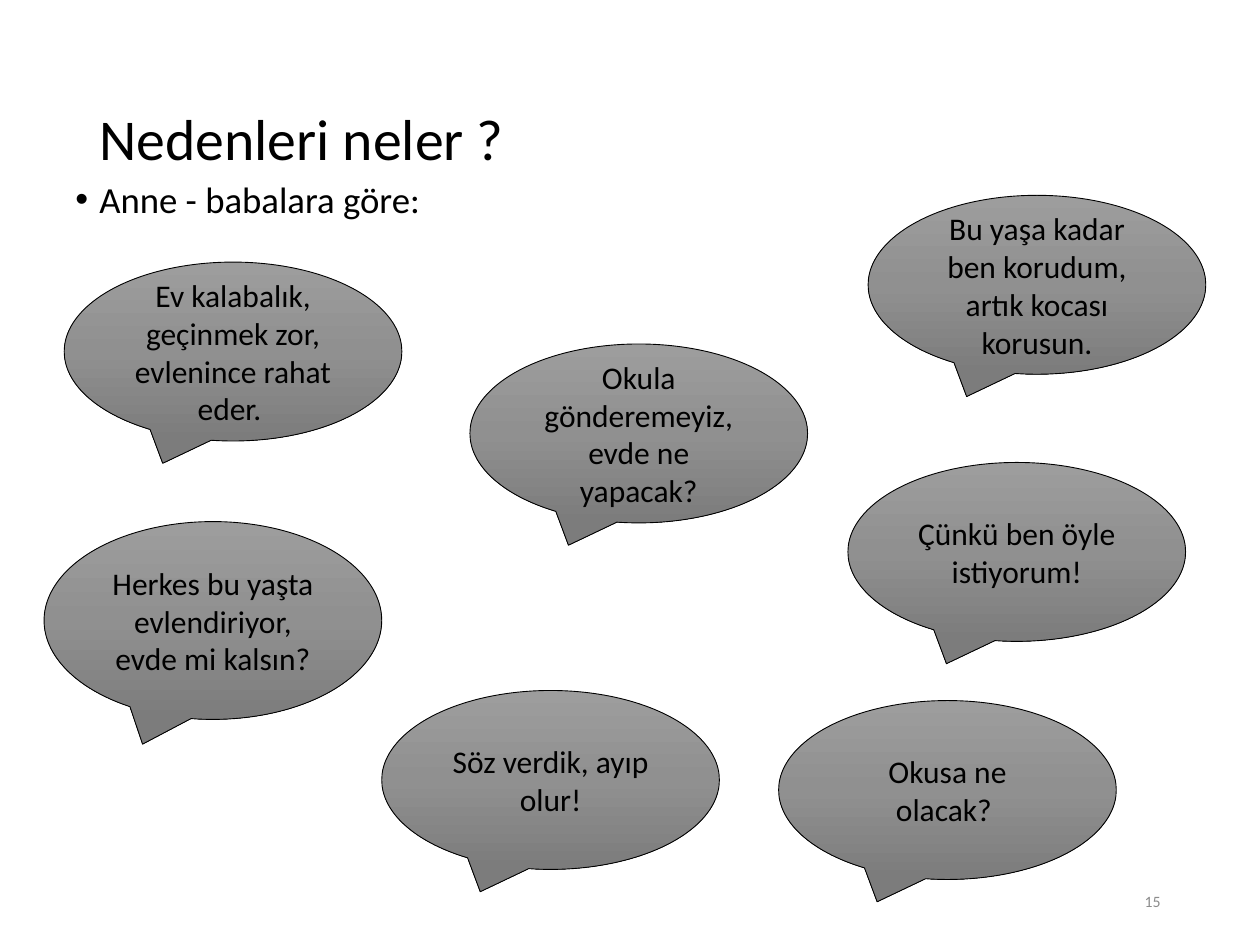
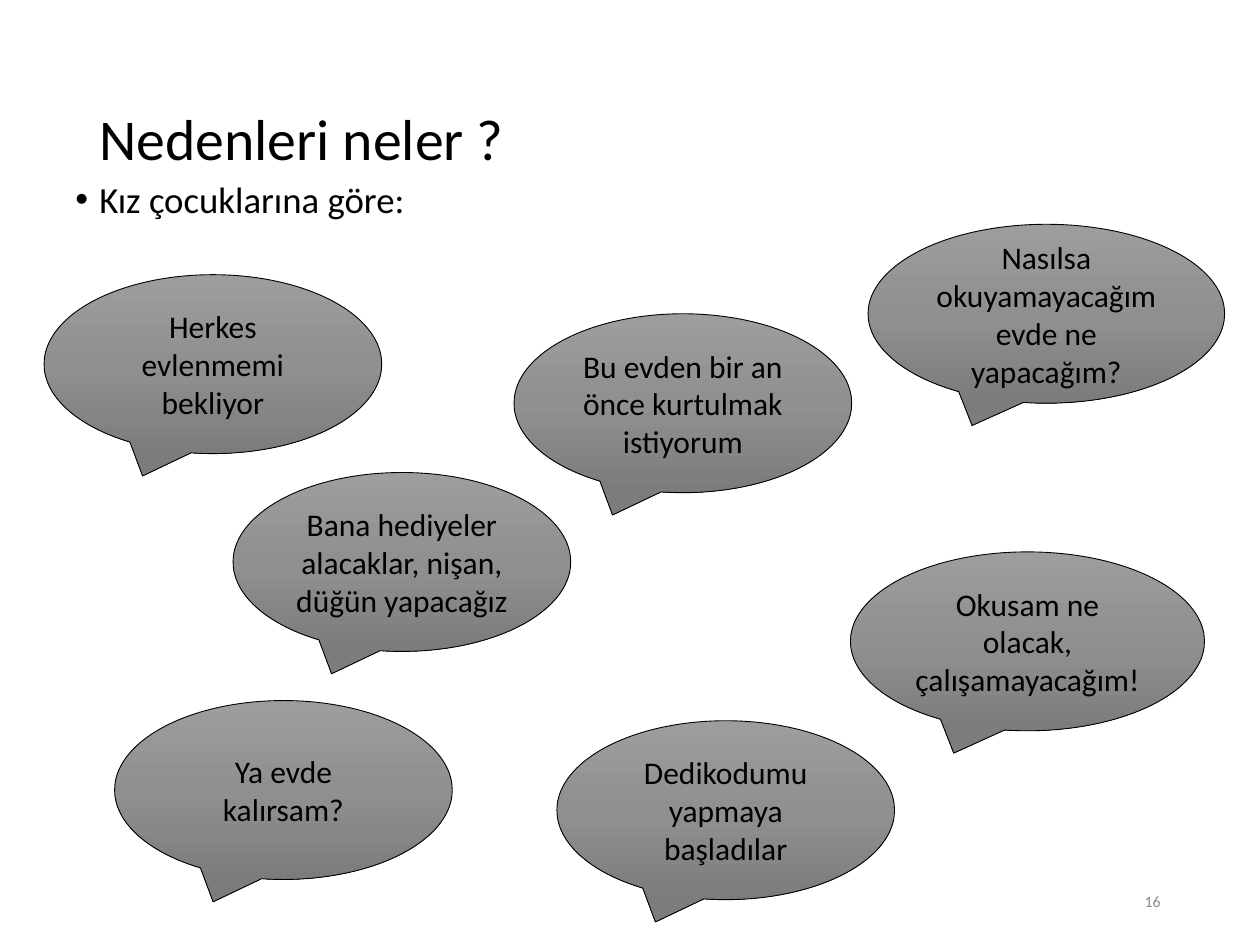
from copy import deepcopy
from dataclasses import dataclass

from lxml import etree
from pptx import Presentation
from pptx.dml.color import RGBColor
from pptx.enum.shapes import MSO_SHAPE
from pptx.enum.text import MSO_ANCHOR, PP_ALIGN
from pptx.oxml.ns import qn
from pptx.util import Inches, Pt

CALLOUT = MSO_SHAPE.OVAL_CALLOUT
TOP, MIDDLE = MSO_ANCHOR.TOP, MSO_ANCHOR.MIDDLE
LEFT, CENTER, RIGHT = PP_ALIGN.LEFT, PP_ALIGN.CENTER, PP_ALIGN.RIGHT

# Content: each opinion is (text, left, top) with optional (width, height)
TITLE = "Nedenleri neler ?"
BUBBLE_SIZE = (2.68, 1.42)
SLIDES = [
    {
        "number": "15",
        "speakers": "Anne - babalara göre:",
        "opinions": [
            ("Ev kalabalık, geçinmek zor, evlenince rahat eder. ", 0.51, 2.08),
            ("Okula gönderemeyiz, evde ne yapacak?", 3.73, 2.73),
            ("Bu yaşa kadar ben korudum, artık kocası korusun.", 6.89, 1.55),
            ("Herkes bu yaşta evlendiriyor, evde mi kalsın?", 0.35, 4.14, 2.68, 1.57),
            ("Çünkü ben öyle istiyorum!", 6.73, 3.67),
            ("Söz verdik, ayıp olur!", 3.03, 5.48),
            ("Okusa ne olacak? ", 6.18, 5.56),
        ],
    },
    {
        "number": "16",
        "speakers": "Kız çocuklarına göre:",
        "opinions": [
            ("Herkes evlenmemi bekliyor", 0.35, 2.18),
            ("Bu evden bir an önce kurtulmak istiyorum", 4.08, 2.49),
            ("Nasılsa okuyamayacağım evde ne yapacağım?", 6.89, 1.78, 2.83, 1.42),
            ("Ya evde kalırsam?", 0.91, 5.56),
            ("Okusam ne olacak, çalışamayacağım!", 6.75, 4.38, 2.81, 1.42),
            ("Bana hediyeler alacaklar, nişan, düğün yapacağız", 1.85, 3.75),
            ("Dedikodumu yapmaya başladılar", 4.42, 5.72),
        ],
    },
]


@dataclass(frozen=True)
class Theme:
    font: str = "Calibri"
    ink: str = "000000"
    muted: str = "8C8C8C"
    gradient: tuple = ((0, "9D9D9D"), (0.5, "909090"), (1, "7C7C7C"))
    title: int = 33
    body: int = 21
    bubble: int = 18
    number: int = 9
    outline: float = 0.5
    spacing: float = 0.9


THEME = Theme()


def write(shape, text, size, align=LEFT, anchor=MIDDLE, color=THEME.ink):
    """Fill a shape with one styled paragraph and return the paragraph."""
    frame = shape.text_frame
    frame.word_wrap = True
    frame.vertical_anchor = anchor
    para = frame.paragraphs[0]
    para.alignment = align
    span = para.add_run()
    span.text = text
    span.font.name = THEME.font
    span.font.size = Pt(size)
    span.font.color.rgb = RGBColor.from_string(color)
    return para


def add_text(page, area, text, size, **style):
    box = page.shapes.add_textbox(*map(Inches, area))
    return write(box, text, size, **style)


def add_bullet(para, indent):
    properties = para._p.get_or_add_pPr()
    properties.set("marL", str(Inches(indent)))
    properties.set("indent", str(-Inches(indent)))
    etree.SubElement(properties, qn("a:buFont"), typeface="Arial")
    etree.SubElement(properties, qn("a:buChar"), char="•")


def fill_gradient(shape):
    shape.fill.gradient()
    shape.fill.gradient_angle = 270
    stop_list = next(shape.element.spPr.iter(qn("a:gsLst")))
    stop_list.append(deepcopy(stop_list[0]))
    for stop, (position, color) in zip(shape.fill.gradient_stops, THEME.gradient):
        stop.position = position
        stop.color.rgb = RGBColor.from_string(color)


def add_bubble(page, text, left, top, width=BUBBLE_SIZE[0], height=BUBBLE_SIZE[1]):
    area = map(Inches, (left, top, width, height))
    bubble = page.shapes.add_shape(CALLOUT, *area)
    bubble.shadow.inherit = False
    fill_gradient(bubble)
    bubble.line.color.rgb = RGBColor.from_string(THEME.ink)
    bubble.line.width = Pt(THEME.outline)
    write(bubble, text, THEME.bubble, align=CENTER)


def add_page(deck, content):
    page = deck.slides.add_slide(deck.slide_layouts[6])

    # Title and the group being quoted
    title = add_text(page, (0.69, 0.4, 8.62, 1.45), TITLE, THEME.title)
    title.line_spacing = THEME.spacing
    speakers = add_text(page, (0.5, 1.39, 9, 5.31), content["speakers"],
                        THEME.body, anchor=TOP)
    speakers.line_spacing = THEME.spacing
    add_bullet(speakers, 0.19)

    # Speech bubbles
    for opinion in content["opinions"]:
        add_bubble(page, *opinion)

    # Page number
    add_text(page, (7.06, 6.95, 2.25, 0.4), content["number"], THEME.number,
             align=RIGHT, color=THEME.muted)


def main():
    deck = Presentation()
    deck.slide_width, deck.slide_height = Inches(10), Inches(7.5)
    for content in SLIDES:
        add_page(deck, content)
    deck.save("out.pptx")


if __name__ == "__main__":
    main()
